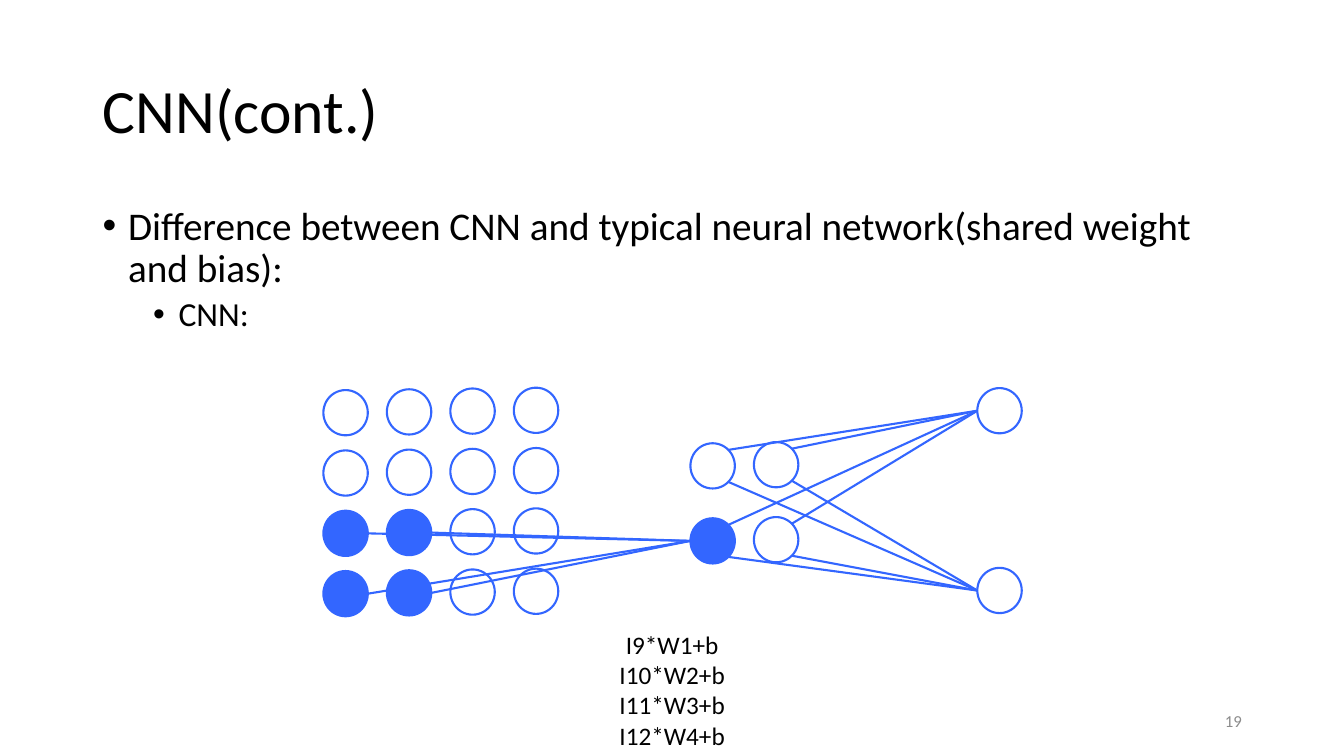
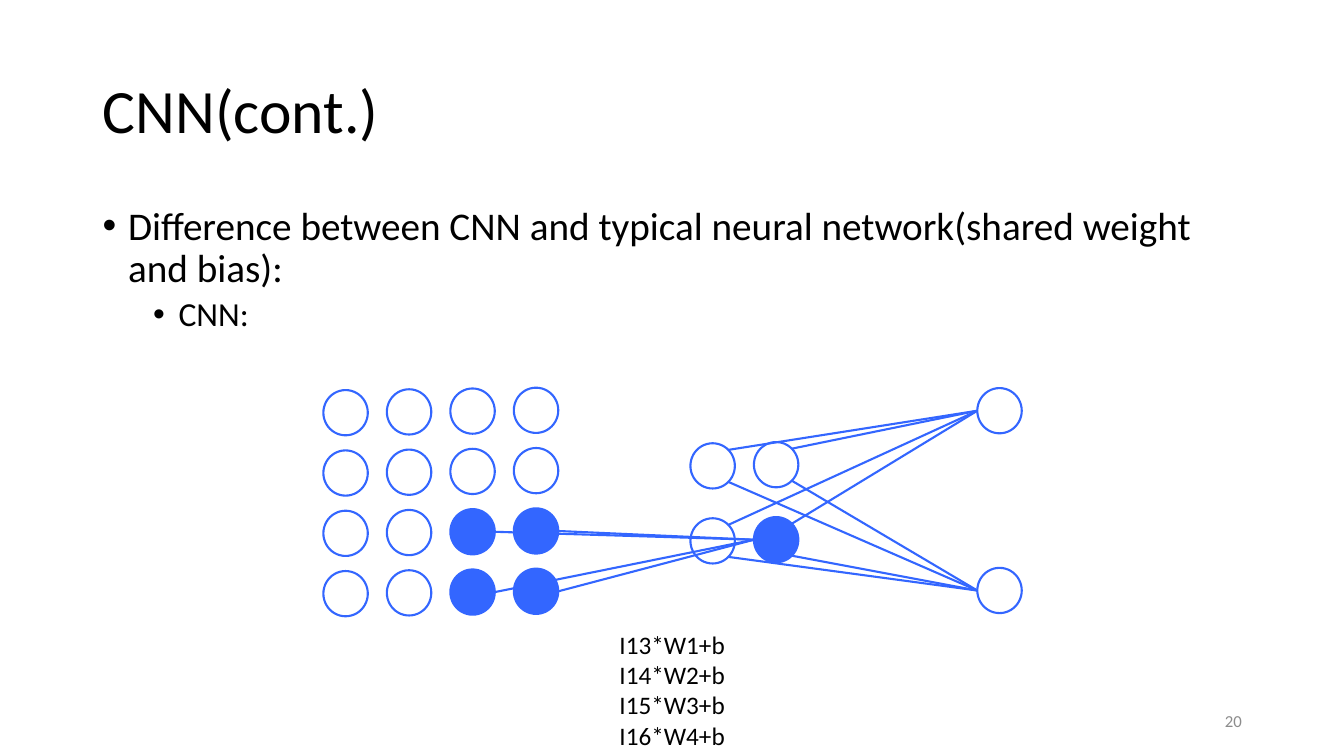
import lxml.etree
import pptx
import pptx.dml.color
import pptx.enum.shapes
import pptx.enum.text
import pptx.oxml.ns
import pptx.util

Cm = pptx.util.Cm
Pt = pptx.util.Pt
ALIGN = pptx.enum.text.PP_ALIGN
ANCHOR = pptx.enum.text.MSO_ANCHOR

FONT = "Calibri"
BLACK = "000000"
GREY = "8C8C8C"
BLUE = "3366FF"

TITLE_BOX = (2.34, 1.01, 29.21, 3.68)
BODY_BOX = (2.34, 5.07, 29.21, 12.09)
NUMBER_BOX = (23.93, 17.65, 7.62, 1.01)
FORMULA_BOX = (15.34, 15.73, 3.2, 3.33)
NETWORK_BOX = (8.15, 9.78, 17.6, 5.9)

NEURON_WIDTH = 1.12
NEURON_HEIGHT = 1.14
COLUMN_PITCH = 1.6
DIAGONAL = 0.5 ** 0.5

BULLETS = [
    ("Difference between CNN and typical neural network(shared weight and bias):", 28, 10, 0.64),
    ("CNN:", 24, 5, 1.91),
]


def color(hex_value):
    return pptx.dml.color.RGBColor.from_string(hex_value)


def format_paragraph(paragraph, size, align, hex_value=BLACK):
    paragraph.alignment = align
    for run in paragraph.runs:
        run.font.name = FONT
        run.font.size = Pt(size)
        run.font.color.rgb = color(hex_value)


def add_text(slide, box, text, size, align, hex_value=BLACK, wrap=True):
    holder = slide.shapes.add_textbox(*map(Cm, box))
    frame = holder.text_frame
    frame.word_wrap = wrap
    frame.text = text
    for paragraph in frame.paragraphs:
        format_paragraph(paragraph, size, align, hex_value)
    return frame


def place_title(slide, box, text):
    title = slide.shapes.title
    title.left, title.top, title.width, title.height = map(Cm, box)
    frame = title.text_frame
    frame.text = text
    frame.vertical_anchor = ANCHOR.MIDDLE
    frame.paragraphs[0].line_spacing = 0.9
    format_paragraph(frame.paragraphs[0], 44, ALIGN.LEFT)


def set_bullet(paragraph, indent):
    properties = paragraph._p.get_or_add_pPr()
    properties.set("marL", str(Cm(indent)))
    properties.set("indent", str(-Cm(0.64)))
    for tag, key, value in (("a:buFont", "typeface", "Arial"), ("a:buChar", "char", "•")):
        lxml.etree.SubElement(properties, pptx.oxml.ns.qn(tag)).set(key, value)


def place_body(slide, box):
    text = "\n".join(bullet[0] for bullet in BULLETS)
    frame = add_text(slide, box, text, 28, ALIGN.LEFT)
    for level, (paragraph, bullet) in enumerate(zip(frame.paragraphs, BULLETS)):
        _, size, space, indent = bullet
        paragraph.level = level
        paragraph.line_spacing = 0.9
        paragraph.space_before = Pt(space)
        format_paragraph(paragraph, size, ALIGN.LEFT)
        set_bullet(paragraph, indent)


def place_number(slide, box, number):
    frame = add_text(slide, box, str(number), 12, ALIGN.RIGHT, GREY)
    frame.vertical_anchor = ANCHOR.MIDDLE


def place_formulas(slide, box, first_input):
    text = "\n".join(f"I{first_input + k}*W{k + 1}+b" for k in range(4))
    frame = add_text(slide, box, text, 18, ALIGN.CENTER, wrap=False)
    frame.auto_size = pptx.enum.text.MSO_AUTO_SIZE.SHAPE_TO_FIT_TEXT


def add_neuron(slide, left, top, active):
    neuron = slide.shapes.add_shape(
        pptx.enum.shapes.MSO_SHAPE.OVAL,
        Cm(left), Cm(top), Cm(NEURON_WIDTH), Cm(NEURON_HEIGHT))
    neuron.shadow.inherit = False
    neuron.line.color.rgb = color(BLUE)
    neuron.line.width = Pt(1.5)
    if active:
        neuron.fill.solid()
        neuron.fill.fore_color.rgb = color(BLUE)
    else:
        neuron.fill.background()
    return neuron


def add_layer(slide, left, top, rows, columns, row_pitch, drift, active=()):
    return {
        (row, column): add_neuron(
            slide, left + column * COLUMN_PITCH,
            top + row * row_pitch - column * drift, (row, column) in active)
        for column in range(columns) for row in range(rows)
    }


def edge_point(neuron, across, down):
    x = neuron.left + neuron.width * (1 + across) / 2
    y = neuron.top + neuron.height * (1 + down) / 2
    return round(x), round(y)


def add_link(slide, start, end):
    link = slide.shapes.add_connector(
        pptx.enum.shapes.MSO_CONNECTOR.STRAIGHT, *start, *end)
    link.line.color.rgb = color(BLUE)
    link.line.width = Pt(1.5)
    lxml.etree.SubElement(link._element.spPr, pptx.oxml.ns.qn("a:effectLst"))


def place_network(slide, box, window):
    left, top, width, _ = box
    field = [(row, 2 * window + column) for row in (2, 3) for column in (0, 1)]
    target = (1, window)
    inputs = add_layer(slide, left, top + 0.05, 4, 4, 1.52, 0.02, field)
    hidden = add_layer(slide, left + 9.25, top + 1.39, 2, 2, 1.89, 0.03, [target])
    outputs = add_layer(slide, left + width - NEURON_WIDTH, top, 2, 1, 4.53, 0)
    for neuron in hidden.values():
        for output, down in zip(outputs.values(), (-DIAGONAL, DIAGONAL)):
            add_link(slide, edge_point(neuron, DIAGONAL, down), edge_point(output, -1, 0))
    for cell in field:
        add_link(slide, edge_point(inputs[cell], 1, 0), edge_point(hidden[target], -1, 0))


def build_slide(deck, number, window):
    slide = deck.slides.add_slide(deck.slide_layouts[5])
    place_title(slide, TITLE_BOX, "CNN(cont.)")
    place_body(slide, BODY_BOX)
    place_number(slide, NUMBER_BOX, number)
    place_formulas(slide, FORMULA_BOX, 9 + 4 * window)
    place_network(slide, NETWORK_BOX, window)


def main():
    deck = pptx.Presentation()
    deck.slide_width = Cm(33.87)
    deck.slide_height = Cm(19.05)
    for window, number in enumerate((19, 20)):
        build_slide(deck, number, window)
    deck.save("out.pptx")


if __name__ == "__main__":
    main()
